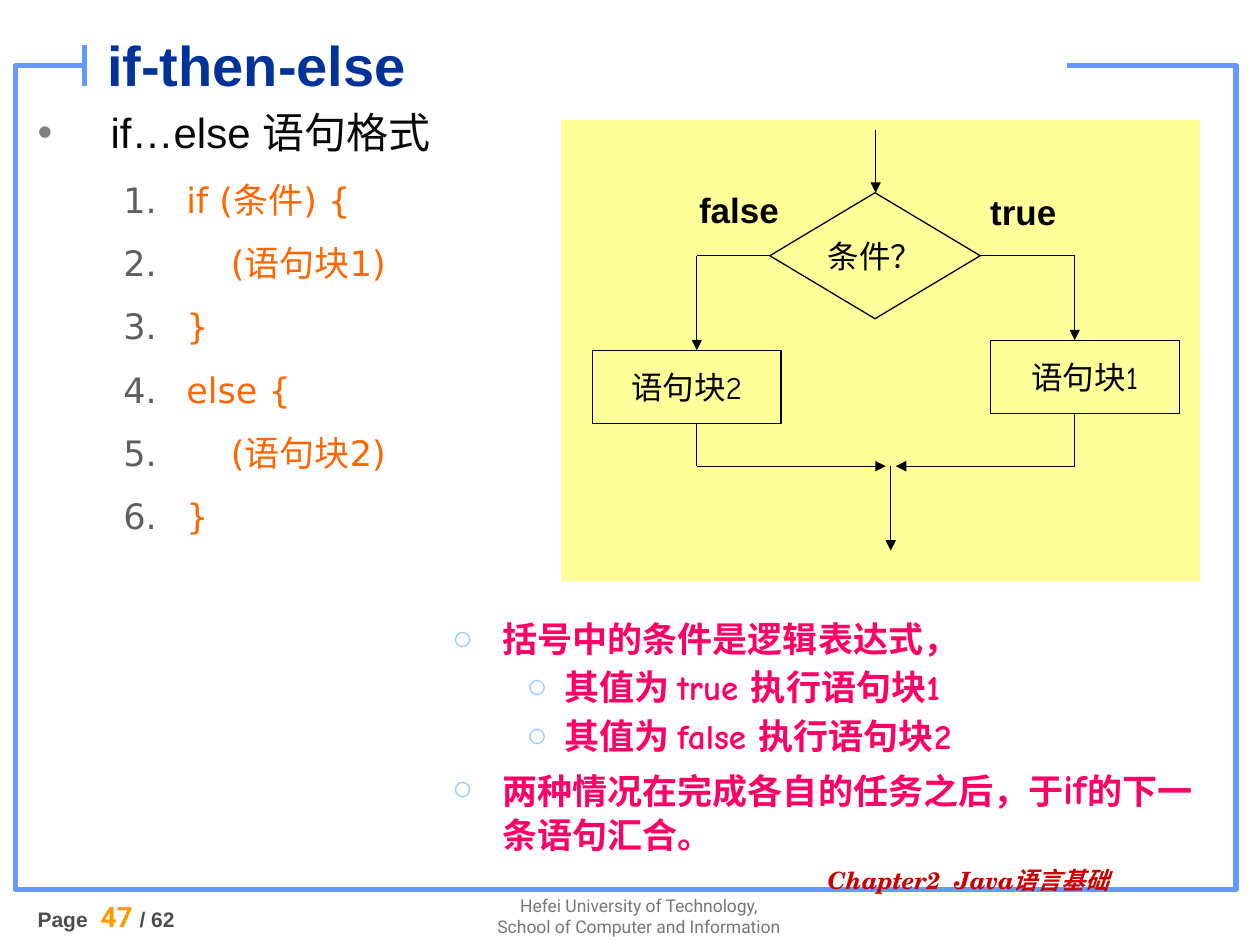
from lxml import etree
from pptx import Presentation
from pptx.dml.color import RGBColor
from pptx.enum.shapes import MSO_CONNECTOR, MSO_SHAPE
from pptx.enum.text import MSO_ANCHOR, MSO_AUTO_SIZE, PP_ALIGN
from pptx.oxml.ns import qn
from pptx.util import Pt

PX = 9144
STRAIGHT = MSO_CONNECTOR.STRAIGHT
RECTANGLE = MSO_SHAPE.RECTANGLE
DECISION = MSO_SHAPE.FLOWCHART_DECISION
MIDDLE, TOP = MSO_ANCHOR.MIDDLE, MSO_ANCHOR.TOP
LEFT, CENTER = PP_ALIGN.LEFT, PP_ALIGN.CENTER
NO_AUTOFIT = MSO_AUTO_SIZE.NONE

FRAME_BLUE = RGBColor(0x66, 0x99, 0xFF)
TITLE_BLUE = RGBColor(0x00, 0x33, 0x99)
PALE_BLUE = RGBColor(0x99, 0xCC, 0xFF)
YELLOW = RGBColor(0xFF, 0xFF, 0x99)
ORANGE = RGBColor(0xFF, 0x66, 0x00)
AMBER = RGBColor(0xFF, 0x99, 0x00)
PINK = RGBColor(0xFF, 0x00, 0x66)
RED = RGBColor(0xCC, 0x00, 0x00)
WHITE = RGBColor(0xFF, 0xFF, 0xFF)
BLACK = RGBColor(0x00, 0x00, 0x00)
INK = RGBColor(0x08, 0x08, 0x08)
DARK_GRAY = RGBColor(0x4D, 0x4D, 0x4D)
NUMBER_GRAY = RGBColor(0x5F, 0x5F, 0x5F)
FOOTER_GRAY = RGBColor(0x77, 0x77, 0x77)
BULLET_GRAY = RGBColor(0x80, 0x80, 0x80)


def emu(*lengths):
    return [length * PX for length in lengths]


def write(para, text, font="Arial", size=20, color=BLACK, bold=False, italic=False):
    span = para.add_run()
    span.text = text
    span.font.name = font
    span.font.size = Pt(size)
    span.font.color.rgb = color
    span.font.bold = bold
    span.font.italic = italic


def add_text_box(shapes, box):
    frame = shapes.add_textbox(*emu(*box)).text_frame
    frame.word_wrap = True
    return frame


def next_para(frame, first):
    return frame.paragraphs[0] if first else frame.add_paragraph()


def set_bullet(para, color, margin, indent, char=None):
    properties = para._p.get_or_add_pPr()
    properties.set("marL", str(margin * PX))
    properties.set("indent", str(-indent * PX))
    bullet_color = etree.SubElement(properties, qn("a:buClr"))
    etree.SubElement(bullet_color, qn("a:srgbClr"), val=str(color))
    if char:
        etree.SubElement(properties, qn("a:buFont"), typeface="Arial")
        etree.SubElement(properties, qn("a:buChar"), char=char)
    else:
        etree.SubElement(properties, qn("a:buAutoNum"), type="arabicPeriod")


def add_line(shapes, start, end, color=BLACK, width=0.75, arrow=False):
    line = shapes.add_connector(STRAIGHT, *emu(*start, *end))
    line.line.color.rgb = color
    line.line.width = Pt(width)
    if arrow:
        etree.SubElement(line.line._get_or_add_ln(), qn("a:tailEnd"), type="triangle")
    etree.SubElement(line._element.spPr, qn("a:effectLst"))


def add_block(shapes, kind, box, line=None, text=None, size=18, font="Comic Neue",
              bold=False, align=CENTER, anchor=MIDDLE):
    block = shapes.add_shape(kind, *emu(*box))
    block.shadow.inherit = False
    block.fill.solid()
    block.fill.fore_color.rgb = YELLOW
    if line is None:
        block.line.fill.background()
    else:
        block.line.color.rgb = line
        block.line.width = Pt(0.75)
    if text:
        frame = block.text_frame
        frame.word_wrap = False
        frame.vertical_anchor = anchor
        para = frame.paragraphs[0]
        para.alignment = align
        write(para, text, font=font, size=size, bold=bold)


def add_frame(page, box):
    left, top, width, height = box
    right, bottom = left + width, top + height
    gap_left, gap_right = left + 55, right - 134
    builder = page.shapes.build_freeform(gap_left, top, scale=PX)
    corners = [(left, top), (left, bottom), (right, bottom), (right, top), (gap_right, top)]
    builder.add_line_segments(corners, close=False)
    border = builder.convert_to_shape()
    border.shadow.inherit = False
    border.fill.background()
    border.line.color.rgb = FRAME_BLUE
    border.line.width = Pt(3)
    add_line(page.shapes, (gap_left, top - 16), (gap_left, top + 16), FRAME_BLUE, 3)


def add_title(page, box):
    title = page.shapes.title
    title.left, title.top, title.width, title.height = emu(*box)
    frame = title.text_frame
    frame.auto_size = NO_AUTOFIT
    frame.vertical_anchor = MIDDLE
    para = frame.paragraphs[0]
    para.alignment = LEFT
    write(para, "if-then-else", size=32, color=TITLE_BLUE, bold=True)


def add_syntax(page, box):
    frame = add_text_box(page.shapes, box)
    heading = frame.paragraphs[0]
    set_bullet(heading, BULLET_GRAY, 58, 58, "•")
    heading.line_spacing = 0.9
    write(heading, "if…else 语句格式", size=24, color=INK)
    for code in ("if (条件) {", "    (语句块1)", "}", "else {", "    (语句块2)", "}"):
        para = frame.add_paragraph()
        para.level = 1
        set_bullet(para, NUMBER_GRAY, 118, 50)
        para.line_spacing = 1.4
        para.space_before = Pt(2.5)
        write(para, code, font="DejaVu Sans", color=ORANGE)


def add_flowchart(page, box):
    left, top, width, height = box
    shapes = page.shapes.add_group_shape().shapes
    add_block(shapes, RECTANGLE, box, WHITE)

    def at(x, y):
        return left + x, top + y

    add_block(shapes, DECISION, (*at(166, 58), 167, 100), BLACK, "条件？")
    for corner, text in ((at(25, 183), "语句块2"), (at(341, 175), "语句块1")):
        add_block(shapes, RECTANGLE, (*corner, 150, 58), BLACK, text)
    for corner, label_width, text in ((at(331, 51), 110, "true"), (at(100, 50), 83, "false")):
        add_block(shapes, RECTANGLE, (*corner, label_width, 44), text=text, size=20,
                  font="Arial", bold=True, align=LEFT, anchor=TOP)

    add_line(shapes, at(250, 8), at(250, 58), arrow=True)
    branches = ((108, 166, 183, 258), (408, 333, 175, 266))
    for x, tip, block_top, merge in branches:
        add_line(shapes, at(tip, 108), at(x, 108))
        add_line(shapes, at(x, 108), at(x, block_top), arrow=True)
        add_line(shapes, at(x, block_top + 58), at(x, 275))
        add_line(shapes, at(x, 275), at(merge, 275), arrow=True)
    add_line(shapes, at(262, 275), at(262, 342), arrow=True)


def add_notes_list(page, box):
    frame = add_text_box(page.shapes, box)
    items = (
        (0, (("括号中的条件是逻辑表达式，", 20),)),
        (1, (("其值为 true 执行语句块1", 20),)),
        (1, (("其值为 false 执行语句块2", 20),)),
        (0, (("两种情况在完成各自的任务之后，于", 20), ("if", 24), ("的下一条语句汇合。", 20))),
    )
    for index, (level, spans) in enumerate(items):
        para = next_para(frame, index == 0)
        para.level = level
        margin, indent = ((40, 40), (89, 30))[level]
        set_bullet(para, PALE_BLUE, margin, indent, "○")
        para.line_spacing = 1.0
        if index:
            para.space_before = Pt(3.7)
        for text, size in spans:
            write(para, text, font="Comic Neue", size=size, color=PINK, bold=True)


def add_footer(page, box):
    left, top, width, height = box
    number = add_text_box(page.shapes, (left, top + 24, 181, 40)).paragraphs[0]
    write(number, "Page ", size=12, color=DARK_GRAY, bold=True)
    write(number, " 47 ", font="Roboto", size=16, color=AMBER, bold=True)
    write(number, "/ 62", size=12, color=DARK_GRAY, bold=True)

    school = add_text_box(page.shapes, (left + 360, top + 20, 254, 45))
    for index, text in enumerate(("Hefei University of Technology,",
                                  "School of Computer and Information")):
        para = next_para(school, index == 0)
        para.alignment = CENTER
        write(para, text, font="Roboto", size=10, color=FOOTER_GRAY)

    chapter = add_text_box(page.shapes, (left + 627, top, 307, 35)).paragraphs[0]
    chapter.line_spacing = 0.9
    write(chapter, "Chapter2  Java语言基础", font="TeX Gyre Schola", size=13.6,
          color=RED, bold=True, italic=True)


def main():
    deck = Presentation()
    deck.slide_width, deck.slide_height = emu(1000, 750)
    page = deck.slides.add_slide(deck.slide_layouts[5])
    add_frame(page, (12, 52, 969, 654))
    add_title(page, (75, 11, 677, 80))
    add_syntax(page, (20, 84, 468, 425))
    add_flowchart(page, (445, 95, 508, 367))
    add_notes_list(page, (349, 485, 608, 213))
    add_footer(page, (20, 685, 934, 65))
    deck.save("out.pptx")


if __name__ == "__main__":
    main()
